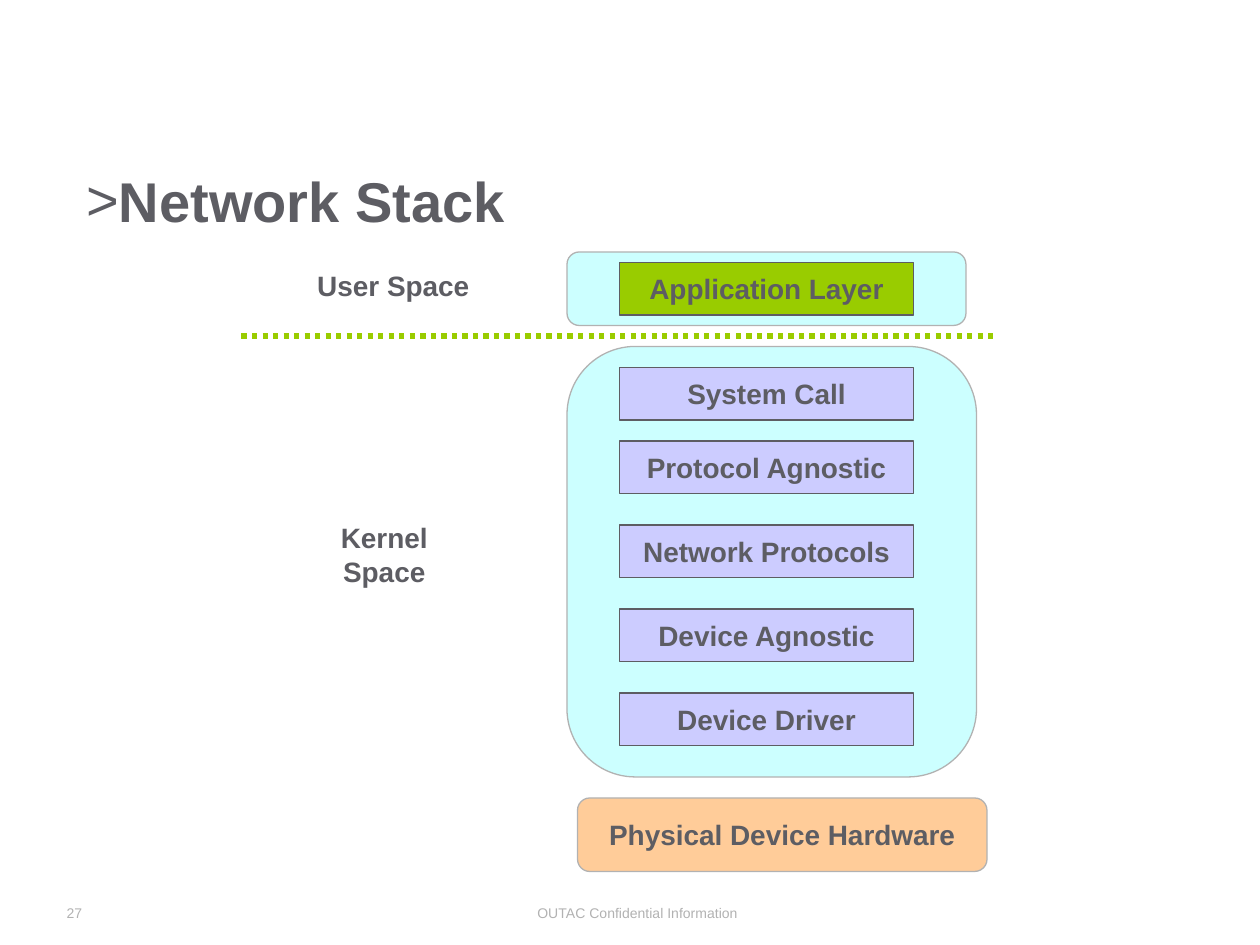
from lxml import etree
from pptx import Presentation
from pptx.dml.color import RGBColor
from pptx.enum.dml import MSO_LINE
from pptx.enum.shapes import MSO_CONNECTOR, MSO_SHAPE
from pptx.enum.text import MSO_ANCHOR, MSO_AUTO_SIZE, PP_ALIGN
from pptx.oxml.ns import qn
from pptx.util import Pt

RECTANGLE = MSO_SHAPE.RECTANGLE
ROUNDED = MSO_SHAPE.ROUNDED_RECTANGLE
STRAIGHT = MSO_CONNECTOR.STRAIGHT
DOTTED = MSO_LINE.ROUND_DOT
MIDDLE, TOP = MSO_ANCHOR.MIDDLE, MSO_ANCHOR.TOP
LEFT, CENTER = PP_ALIGN.LEFT, PP_ALIGN.CENTER
NO_FIT, GROW = MSO_AUTO_SIZE.NONE, MSO_AUTO_SIZE.SHAPE_TO_FIT_TEXT

FONT = "Arial"
DARK_GREY = RGBColor(0x5D, 0x5D, 0x63)
LIGHT_GREY = RGBColor(0xB2, 0xB2, 0xB2)
GREEN = RGBColor(0x99, 0xCC, 0x00)
CYAN = RGBColor(0xCC, 0xFF, 0xFF)
LAVENDER = RGBColor(0xCC, 0xCC, 0xFF)
ORANGE = RGBColor(0xFF, 0xCC, 0x99)

LAYER_INDENT, LAYER_WIDTH, LAYER_HEIGHT = 30, 168, 30
LAYER_PITCH = 48
KERNEL_LAYERS = ["Protocol Agnostic", "Network Protocols",
                 "Device Agnostic", "Device Driver"]


def write(shape, text, size=16, color=DARK_GREY, bold=True, align=CENTER):
    shape.text_frame.text = text
    paragraph = shape.text_frame.paragraphs[0]
    paragraph.alignment = align
    font = paragraph.runs[0].font
    font.name, font.size, font.bold = FONT, Pt(size), bold
    font.color.rgb = color


def add_block(slide, kind, left, top, width, height, fill, outline, text=None):
    shape = slide.shapes.add_shape(kind, Pt(left), Pt(top), Pt(width), Pt(height))
    shape.shadow.inherit = False
    shape.fill.solid()
    shape.fill.fore_color.rgb = fill
    shape.line.color.rgb = outline
    shape.line.width = Pt(0.75)
    if text:
        write(shape, text)
        shape.text_frame.word_wrap = False
        shape.text_frame.vertical_anchor = MIDDLE


def add_panel(slide, left, top, width, height, fill, text=None):
    add_block(slide, ROUNDED, left, top, width, height, fill, LIGHT_GREY, text)


def add_layer(slide, left, top, fill, text):
    add_block(slide, RECTANGLE, left, top, LAYER_WIDTH, LAYER_HEIGHT,
              fill, DARK_GREY, text)


def add_label(slide, left, top, width, height, text, wrap=False, **style):
    label = slide.shapes.add_textbox(Pt(left), Pt(top), Pt(width), Pt(height))
    write(label, text, **style)
    label.text_frame.word_wrap = wrap
    label.text_frame.auto_size = NO_FIT if wrap else GROW


def add_heading(slide, left, top, width, height):
    title, body = slide.placeholders
    title.element.getparent().remove(title.element)
    body.left, body.top = Pt(left), Pt(top)
    body.width, body.height = Pt(width), Pt(height)
    write(body, "Network Stack", size=32, align=LEFT)
    body.text_frame.auto_size = NO_FIT
    body.text_frame.vertical_anchor = TOP
    paragraph = body.text_frame.paragraphs[0]
    paragraph.line_spacing = 0.9
    paragraph.space_before = Pt(20)
    properties = paragraph._p.get_or_add_pPr()
    properties.set("marL", str(Pt(18)))
    properties.set("indent", str(Pt(-18)))
    bullet_color = etree.SubElement(properties, qn("a:buClr"))
    etree.SubElement(bullet_color, qn("a:srgbClr"), val=str(DARK_GREY))
    etree.SubElement(properties, qn("a:buFont"), typeface=FONT)
    etree.SubElement(properties, qn("a:buChar"), char=">")


def add_user_space(slide, left, top, width, height):
    add_panel(slide, left, top, width, height, CYAN)
    add_layer(slide, left + LAYER_INDENT, top + 6, GREEN, "Application Layer")
    add_label(slide, left - 150, top + 6, 101.5, 26.6, "User Space")


def add_kernel_space(slide, left, top, width, height):
    add_panel(slide, left, top, width, height, CYAN)
    add_layer(slide, left + LAYER_INDENT, top + 12, LAVENDER, "System Call")
    for row, name in enumerate(KERNEL_LAYERS):
        add_layer(slide, left + LAYER_INDENT, top + 54 + row * LAYER_PITCH,
                  LAVENDER, name)
    add_label(slide, left - 162, top + 96, 115.2, 26.6, "Kernel Space")


def add_divider(slide, left, top, width):
    line = slide.shapes.add_connector(STRAIGHT, Pt(left), Pt(top),
                                      Pt(left + width), Pt(top))
    line.line.color.rgb = GREEN
    line.line.width = Pt(3)
    line.line.dash_style = DOTTED
    etree.SubElement(line._element.spPr, qn("a:effectLst"))


def add_footer(slide, left, top):
    style = {"size": 8, "color": LIGHT_GREY, "bold": False, "align": LEFT}
    add_label(slide, left + 269, top, 129.6, 17.3,
              "OUTAC Confidential Information", **style)
    add_label(slide, left, top, 168, 19.4, "27", wrap=True, **style)


def main():
    presentation = Presentation()
    presentation.slide_width, presentation.slide_height = Pt(720), Pt(540)
    slide = presentation.slides.add_slide(presentation.slide_layouts[1])
    add_heading(slide, 42, 96, 618, 330)
    add_user_space(slide, 324, 144, 228, 42)
    add_kernel_space(slide, 324, 198, 234, 246)
    add_panel(slide, 330, 456, 234, 42, ORANGE, "Physical Device Hardware")
    add_divider(slide, 138, 192, 432)
    add_footer(slide, 31, 513.4)
    presentation.save("out.pptx")


if __name__ == "__main__":
    main()
